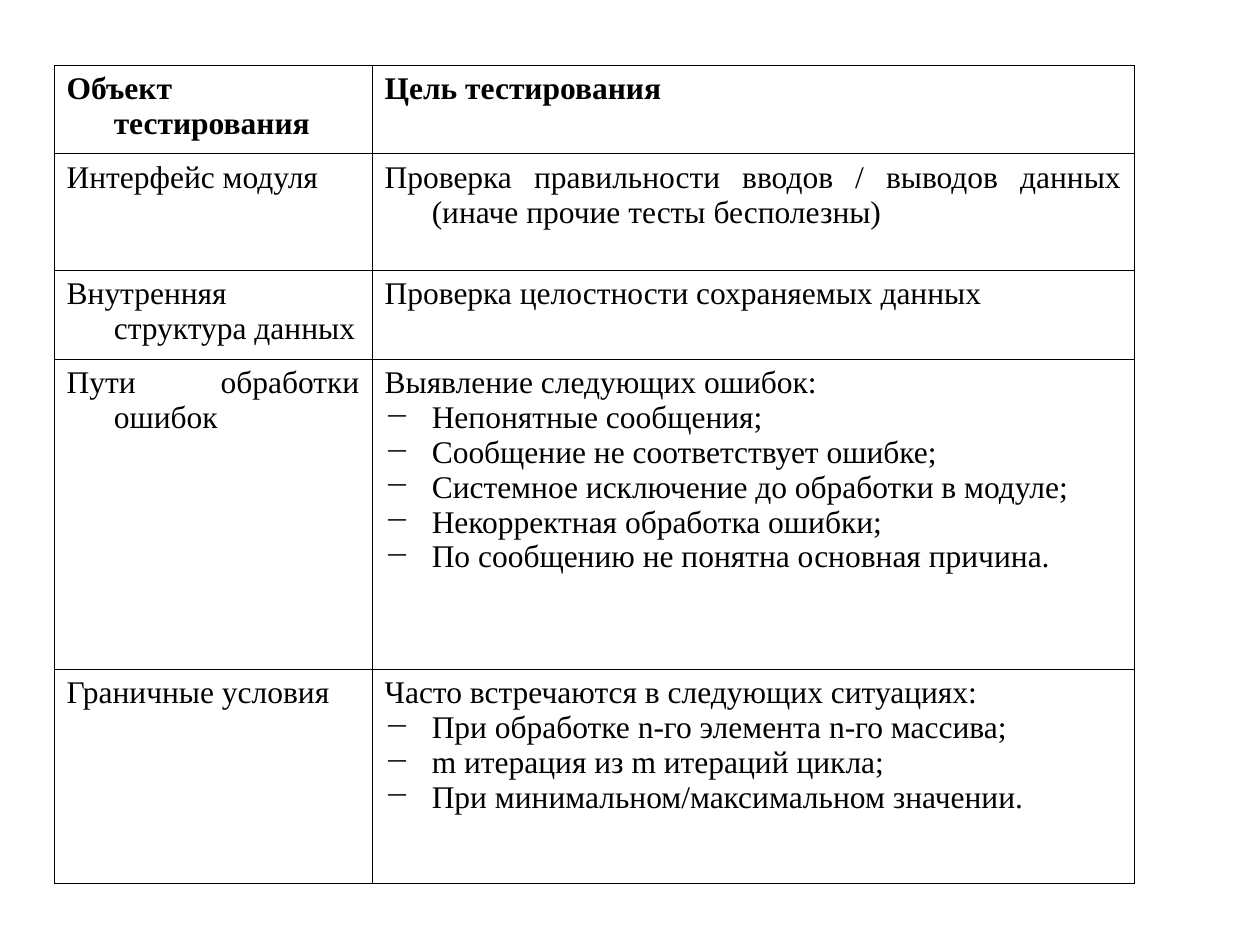
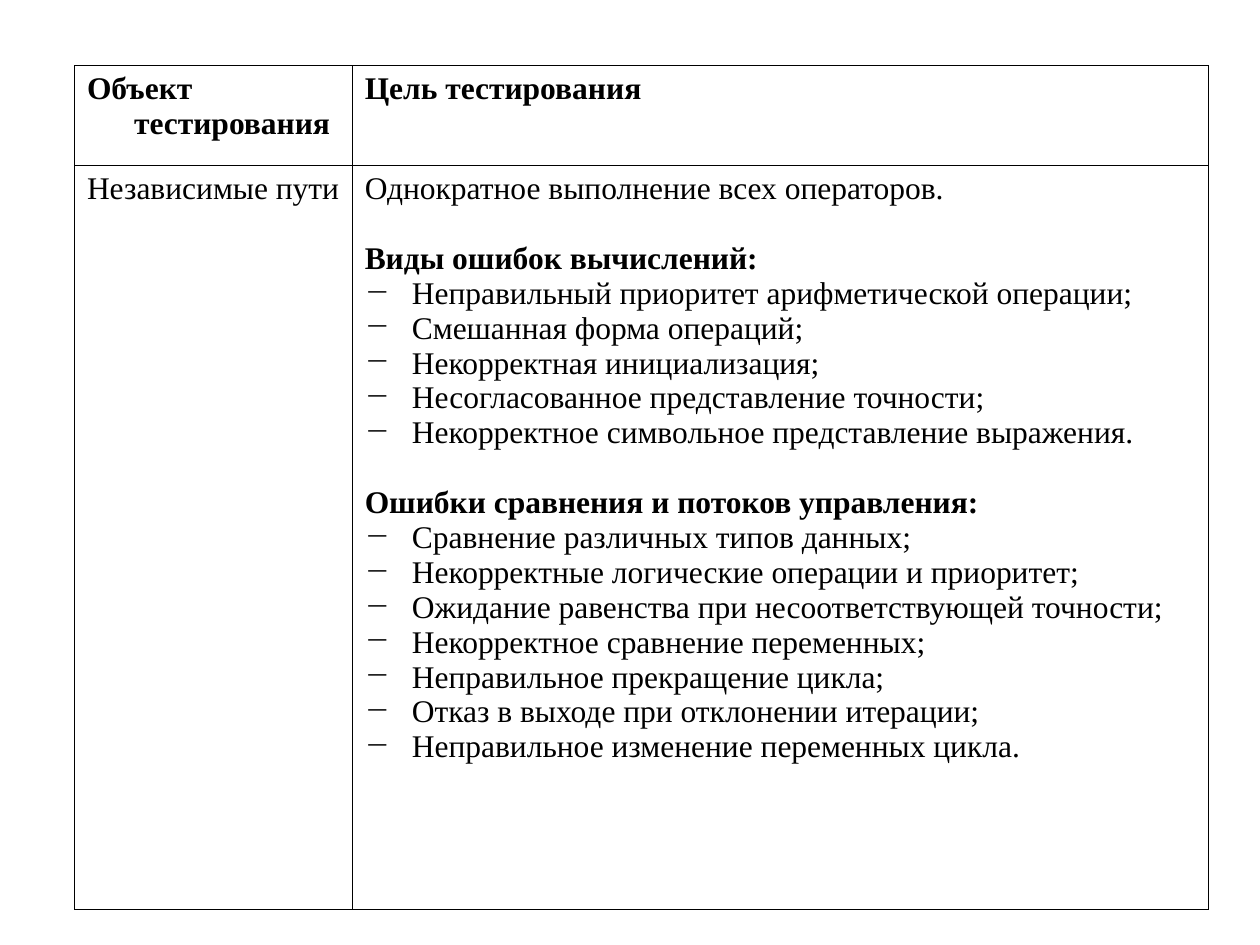
from lxml.etree import SubElement
from pptx import Presentation
from pptx.dml.color import RGBColor
from pptx.enum.text import PP_ALIGN
from pptx.oxml.ns import qn
from pptx.util import Cm, Pt

COLORS = {"ink": "000000"}
FONT = "Times New Roman"
TEXT_SIZE = Pt(18)
GROUP_GAP = Pt(20)
HANGING_INDENT = Cm(0.95)
BORDER_WIDTH = Pt(0.45)
TABLE_TOP = Cm(1.32)

HEADER = ("Объект тестирования", [("Цель тестирования", [])])

# Each row: tested object, then groups of (lead line, dash items).
PAGES = [
    {
        "left": 1.09,
        "columns": [6.41, 15.36],
        "heights": [1.78, 2.35, 1.79, 6.25, 4.32],
        "rows": [
            HEADER,
            ("Интерфейс модуля", [
                ("Проверка правильности вводов / выводов данных "
                 "(иначе прочие тесты бесполезны)", []),
            ]),
            ("Внутренняя структура данных", [
                ("Проверка целостности сохраняемых данных", []),
            ]),
            ("Пути обработки ошибок", [
                ("Выявление следующих ошибок:", [
                    "Непонятные сообщения;",
                    "Сообщение не соответствует ошибке;",
                    "Системное исключение до обработки в модуле;",
                    "Некорректная обработка ошибки;",
                    "По сообщению не понятна основная причина.",
                ]),
            ]),
            ("Граничные условия", [
                ("Часто встречаются в следующих ситуациях:", [
                    "При обработке n-го элемента n-го массива;",
                    "m итерация из m итераций цикла;",
                    "При минимальном/максимальном значении.",
                ]),
            ]),
        ],
    },
    {
        "left": 1.5,
        "columns": [5.6, 17.26],
        "heights": [2.01, 15],
        "rows": [
            HEADER,
            ("Независимые пути", [
                ("Однократное выполнение всех операторов.", []),
                ("Виды ошибок вычислений:", [
                    "Неправильный приоритет арифметической операции;",
                    "Смешанная форма операций;",
                    "Некорректная инициализация;",
                    "Несогласованное представление точности;",
                    "Некорректное символьное представление выражения.",
                ]),
                ("Ошибки сравнения и потоков управления:", [
                    "Сравнение различных типов данных;",
                    "Некорректные логические операции и приоритет;",
                    "Ожидание равенства при несоответствующей точности;",
                    "Некорректное сравнение переменных;",
                    "Неправильное прекращение цикла;",
                    "Отказ в выходе при отклонении итерации;",
                    "Неправильное изменение переменных цикла.",
                ]),
            ]),
        ],
    },
]
LEFT_ALIGNED = {"Внутренняя структура данных"}


def outline_cell(cell):
    """Draw thin lines on all four sides and leave the cell unfilled."""
    properties = cell._tc.get_or_add_tcPr()
    for side in ("a:lnL", "a:lnR", "a:lnT", "a:lnB"):
        line = SubElement(properties, qn(side), w=str(BORDER_WIDTH))
        fill = SubElement(line, qn("a:solidFill"))
        SubElement(fill, qn("a:srgbClr"), val=COLORS["ink"])
    cell.fill.background()


def write_line(paragraph, text, bold=False, dash=False):
    paragraph.text = text
    paragraph.alignment = PP_ALIGN.LEFT if text in LEFT_ALIGNED else PP_ALIGN.JUSTIFY
    properties = paragraph._p.get_or_add_pPr()
    properties.set("marL", str(HANGING_INDENT))
    properties.set("indent", str(-HANGING_INDENT))
    if dash:
        bullet_color = SubElement(properties, qn("a:buClr"))
        SubElement(bullet_color, qn("a:srgbClr"), val=COLORS["ink"])
        SubElement(properties, qn("a:buChar"), char="−")
    for run in paragraph.runs:
        run.font.name = FONT
        run.font.size = TEXT_SIZE
        run.font.bold = bold
        run.font.color.rgb = RGBColor.from_string(COLORS["ink"])


prs = Presentation()
prs.slide_width, prs.slide_height = Cm(25.4), Cm(19.05)

for page in PAGES:
    slide = prs.slides.add_slide(prs.slide_layouts[6])
    goals_table = slide.shapes.add_table(
        len(page["rows"]), len(page["columns"]), Cm(page["left"]), TABLE_TOP,
        Cm(sum(page["columns"])), Cm(sum(page["heights"]))).table
    goals_table.first_row = False
    goals_table.horz_banding = False
    for column, width in zip(goals_table.columns, page["columns"]):
        column.width = Cm(width)
    for row, height in zip(goals_table.rows, page["heights"]):
        row.height = Cm(height)

    for index, (tested_object, groups) in enumerate(page["rows"]):
        is_header = index == 0
        object_cell, goal_cell = goals_table.rows[index].cells
        outline_cell(object_cell)
        outline_cell(goal_cell)
        write_line(object_cell.text_frame.paragraphs[0], tested_object, is_header)

        goal_text = goal_cell.text_frame
        for number, (lead, items) in enumerate(groups):
            is_subheading = number > 0
            lead_line = goal_text.add_paragraph() if is_subheading else goal_text.paragraphs[0]
            write_line(lead_line, lead, is_header or is_subheading)
            if is_subheading:
                lead_line.space_before = GROUP_GAP
            for item in items:
                write_line(goal_text.add_paragraph(), item, dash=True)

prs.save("out.pptx")
